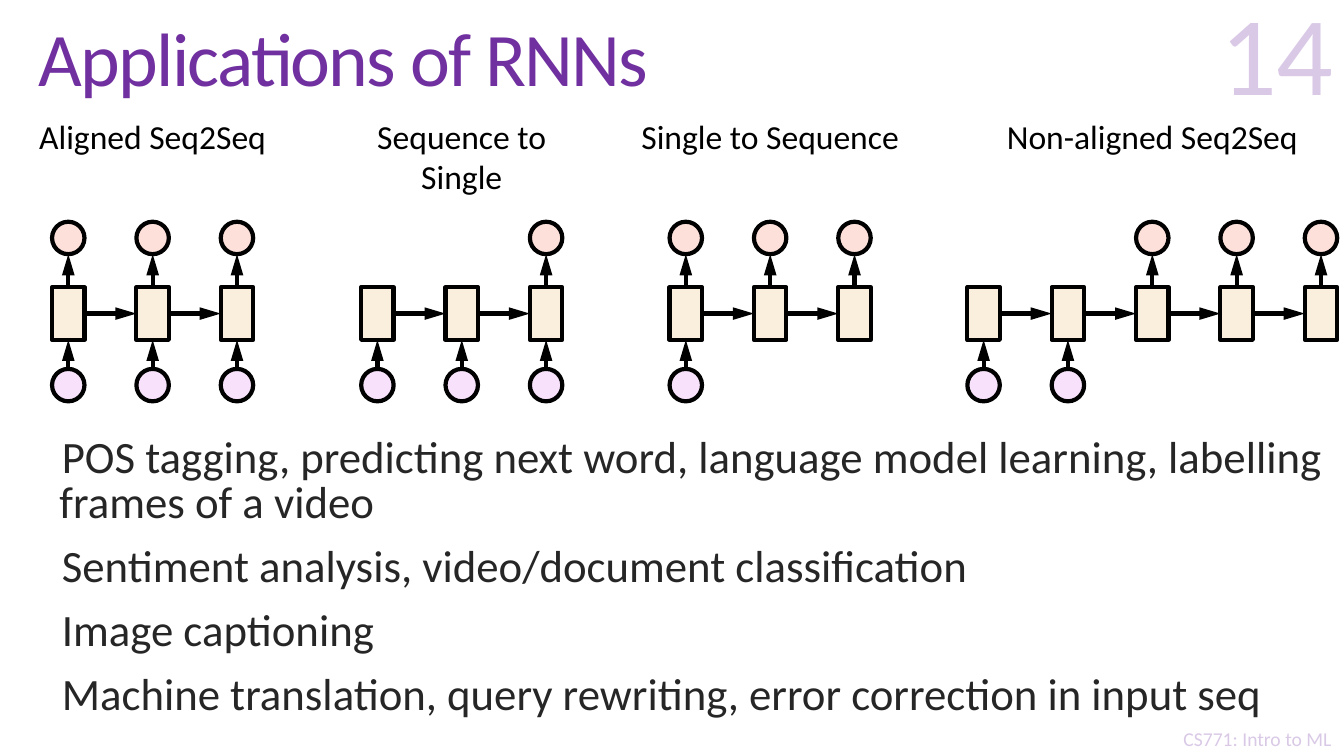
from lxml.etree import SubElement
from pptx import Presentation
from pptx.dml.color import RGBColor
from pptx.enum.shapes import MSO_CONNECTOR as Link, MSO_SHAPE as Geo
from pptx.enum.text import MSO_ANCHOR as Anchor, MSO_AUTO_SIZE as Fit, PP_ALIGN as Align
from pptx.oxml.ns import qn
from pptx.util import Pt

PURPLE = RGBColor(0x70, 0x30, 0xA0)
BLACK = RGBColor(0, 0, 0)
GREY = RGBColor(0x26, 0x26, 0x26)
LILAC = RGBColor(0xF8, 0xE2, 0xFB)
PINK = RGBColor(0xFD, 0xE0, 0xDA)
CREAM = RGBColor(0xFA, 0xEE, 0xDC)

TITLE = "Applications of RNNs"
NUMBER = "14"
COURSE = "CS771: Intro to ML"
# label, label width, left edge, number of cells, cells with input, cells with output
NETS = [
    ("Aligned Seq2Seq", 235, 37.2, 3, (0, 1, 2), (0, 1, 2)),
    ("Sequence to Single", 194, 258, 3, (0, 1, 2), (2,)),
    ("Single to Sequence", 235, 478.3, 3, (0,), (0, 1, 2)),
    ("Non-aligned Seq2Seq", 235, 691, 5, (0, 1), (2, 3, 4)),
]
USES = [
    "POS tagging, predicting next word, language model learning, labelling frames of a video",
    "Sentiment analysis, video/document classification",
    "Image captioning",
    "Machine translation, query rewriting, error correction in input seq",
]

WIDE, TALL, STEP = 23.2, 37.6, 60.25
OUT_TOP, CELL_TOP, IN_TOP, LABEL_TOP = 158.4, 205.2, 263.5, 79.2

deck = Presentation()
deck.slide_width, deck.slide_height = Pt(960), Pt(540)
slide = deck.slides.add_slide(deck.slide_layouts[1])
shapes = slide.shapes


def place(shape, left, top, width, height):
    box = dict(left=left, top=top, width=width, height=height)
    for name, value in box.items():
        setattr(shape, name, Pt(value))


def write(shape, lines, size, color, align=Align.LEFT, anchor=Anchor.TOP, **form):
    """Fill a text frame; form holds extra paragraph format values."""
    frame = shape.text_frame
    for name, value in dict(word_wrap=True, auto_size=Fit.NONE, vertical_anchor=anchor).items():
        setattr(frame, name, value)
    frame.text = "\n".join(lines)
    for para in frame.paragraphs:
        for name, value in dict(alignment=align, **form).items():
            setattr(para, name, value)
        font = para.runs[0].font
        for name, value in dict(name="Calibri", size=Pt(size), bold=False).items():
            setattr(font, name, value)
        font.color.rgb = color
    return frame.paragraphs


def label(text, left, top, width, height, size, color, align, anchor=Anchor.TOP):
    box = shapes.add_textbox(*map(Pt, (left, top, width, height)))
    return write(box, [text], size, color, align, anchor)[0].runs[0]


def fade(run, percent):
    """Make text partly transparent; percent is its opacity."""
    color = run.font._element.find(".//" + qn("a:srgbClr"))
    SubElement(color, qn("a:alpha"), val=str(percent * 1000))


def node(geo, left, top, height, color):
    shape = shapes.add_shape(geo, *map(Pt, (left, top, WIDE, height)))
    shape.shadow.inherit = False
    shape.fill.solid()
    shape.fill.fore_color.rgb = color
    shape.line.color.rgb = BLACK
    shape.line.width = Pt(3)
    return shape


def arrow(start, end, source=None, target=None):
    """Draw an arrow; source and target are (shape, side) pairs to join."""
    line = shapes.add_connector(Link.STRAIGHT, *map(Pt, start + end))
    if source:
        line.begin_connect(*source)
    if target:
        line.end_connect(*target)
    line.line.color.rgb = BLACK
    line.line.width = Pt(3)
    props = line.element.spPr
    SubElement(props.find(qn("a:ln")), qn("a:tailEnd"), type="triangle", len="lg")
    SubElement(props, qn("a:effectLst"))


def net(text, width, left, count, inputs, outputs):
    middle = left + (count - 1) * STEP / 2 + WIDE / 2
    label(text, middle - width / 2, LABEL_TOP, width, 36, 24, BLACK, Align.CENTER)
    last = None
    for i in range(count):
        x = left + i * STEP
        mid, half = x + WIDE / 2, CELL_TOP + TALL / 2
        cell = node(Geo.RECTANGLE, x, CELL_TOP, TALL, CREAM)
        if i in inputs:
            dot = node(Geo.OVAL, x, IN_TOP, WIDE, LILAC)
            arrow((mid, IN_TOP), (mid, CELL_TOP + TALL), (dot, 0), (cell, 2))
        if i in outputs:
            node(Geo.OVAL, x, OUT_TOP, WIDE, PINK)
            arrow((mid, CELL_TOP), (mid, OUT_TOP + WIDE), (cell, 0))
        if last:
            arrow((x - STEP + WIDE, half), (x, half), (last, 3), (cell, 1))
        last = cell


place(shapes.title, 20.2, 2.9, 913.7, 85)
head = write(shapes.title, [TITLE], 54, PURPLE, anchor=Anchor.MIDDLE, line_spacing=0.85)
head[0].runs[0].font._element.set("spc", "-120")
fade(label(NUMBER, 729.4, 3.6, 230.4, 84.2, 80, PURPLE, Align.RIGHT, Anchor.BOTTOM), 25)
fade(label(COURSE, 829.5, 515.5, 137.5, 24.5, 14, PURPLE, Align.CENTER), 25)

body = slide.placeholders[1]
place(body, 28.1, 308.2, 931.7, 221)
for para in write(body, USES, 32, GREY, line_spacing=0.85, space_before=Pt(13), space_after=Pt(0)):
    props = para._p.get_or_add_pPr()
    props.set("marL", str(Pt(7.2)))
    props.set("indent", str(Pt(-7.2)))
    SubElement(props, qn("a:buChar"), char=" ")

for item in NETS:
    net(*item)

deck.save("out.pptx")
